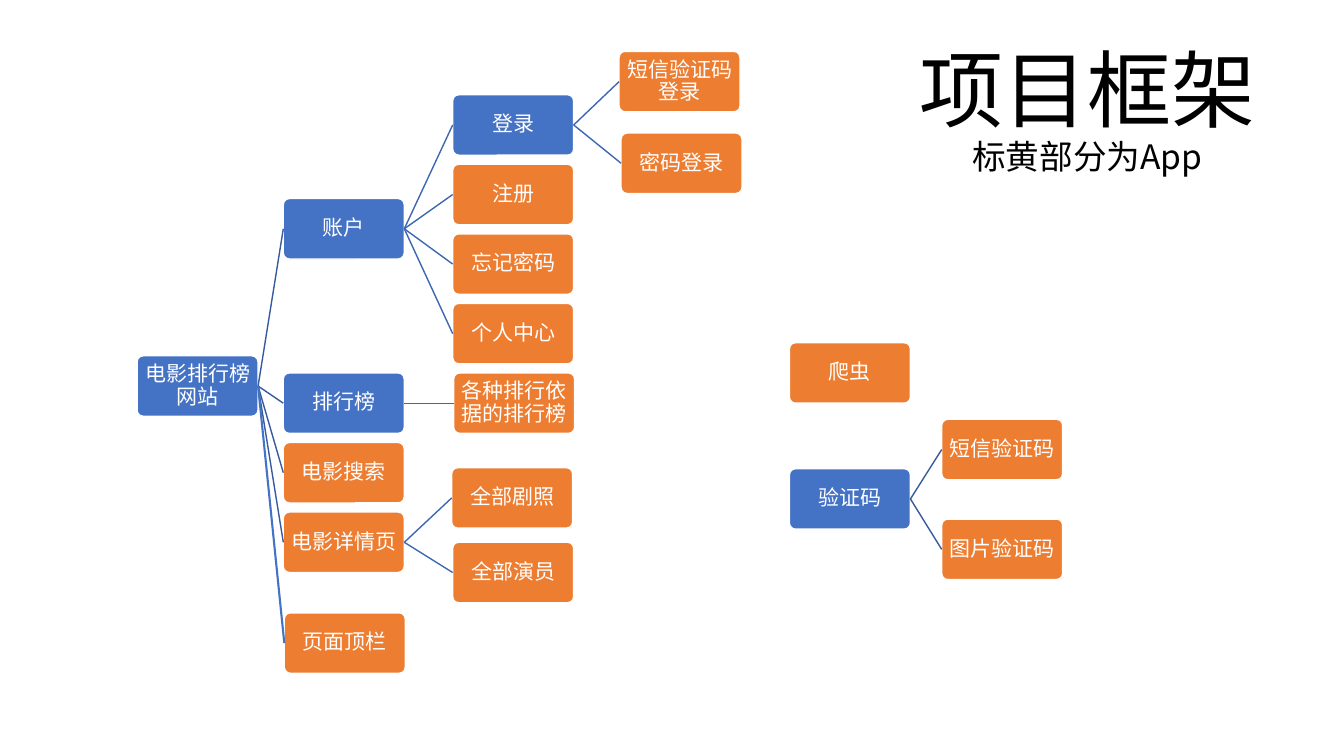
from dataclasses import dataclass

from lxml import etree
from pptx import Presentation
from pptx.dml.color import RGBColor
from pptx.enum.shapes import MSO_CONNECTOR, MSO_SHAPE
from pptx.enum.text import MSO_ANCHOR, MSO_AUTO_SIZE, PP_ALIGN
from pptx.oxml.ns import qn
from pptx.shapes.autoshape import Shape
from pptx.slide import Slide
from pptx.text.text import TextFrame
from pptx.util import Emu, Pt

ROUNDED = MSO_SHAPE.ROUNDED_RECTANGLE
STRAIGHT = MSO_CONNECTOR.STRAIGHT
CENTER = PP_ALIGN.CENTER
MIDDLE, BOTTOM = MSO_ANCHOR.MIDDLE, MSO_ANCHOR.BOTTOM
NO_AUTOFIT = MSO_AUTO_SIZE.NONE
LEFT_SIDE, RIGHT_SIDE = 1, 3

EMU_PER_PX = 9144  # 100 px to the inch
SLIDE_WIDTH, SLIDE_HEIGHT = 1333, 750
BOX_WIDTH, BOX_HEIGHT = 120, 60
BOX_MARGIN = 1
TITLE_ONLY_LAYOUT = 5

# Left edges of the site tree's columns, and the pitch of its stacked boxes
ROOT_X, SECTION_X, PAGE_X, LOGIN_X = 136, 281, 449, 614
ROW_PITCH = 69
ACCOUNT_TOP, RANKING_TOP = 94, 370
# Left edges of the separate services
SERVICE_X, CODE_X = 783, 934


@dataclass(frozen=True)
class Theme:
    font: str = "Noto Sans CJK SC"
    group: str = "4472C4"
    app: str = "ED7D31"
    outline: str = "FFFFFF"
    box_text: str = "FFFFFF"
    title_text: str = "000000"
    first_link: str = "365B9D"
    deeper_link: str = "3E67B2"
    added_link: str = "4472C4"
    box_size: float = 15
    title_size: float = 60
    subtitle_size: float = 24
    line_width: float = 1
    added_width: float = 1.5
    line_spacing: float = 0.9


THEME = Theme()


@dataclass(frozen=True)
class Topic:
    label: str
    left: int
    top: int
    is_app: bool = True
    children: tuple["Topic", ...] = ()
    added_later: bool = False


ACCOUNT_PAGES = (
    Topic("登录", PAGE_X, ACCOUNT_TOP, False, (
        Topic("短信验证码登录", LOGIN_X, 51),
        Topic("密码登录", LOGIN_X + 2, 132),
    )),
    *(Topic(label, PAGE_X, ACCOUNT_TOP + row * ROW_PITCH)
      for row, label in enumerate(("注册", "忘记密码", "个人中心"), start=1)),
)

TOPICS = (
    Topic("电影排行榜网站", ROOT_X, 353, False, (
        Topic("账户", SECTION_X, 197, False, ACCOUNT_PAGES),
        Topic("排行榜", SECTION_X, RANKING_TOP, False, (
            Topic("各种排行依据的排行榜", PAGE_X + 1, RANKING_TOP),
        )),
        Topic("电影搜索", SECTION_X, RANKING_TOP + ROW_PITCH),
        Topic("电影详情页", SECTION_X, RANKING_TOP + 2 * ROW_PITCH, True, (
            Topic("全部剧照", PAGE_X - 1, 464),
            Topic("全部演员", PAGE_X, 538),
        )),
        Topic("页面顶栏", SECTION_X + 1, 608, added_later=True),
    )),
    Topic("验证码", SERVICE_X, 465, False, (
        Topic("图片验证码", CODE_X, 515),
        Topic("短信验证码", CODE_X, 416),
    )),
    Topic("爬虫", SERVICE_X, 340),
)


def px(length: int) -> Emu:
    return Emu(length * EMU_PER_PX)


def rgb(color: str) -> RGBColor:
    return RGBColor.from_string(color)


def format_text(frame: TextFrame, sizes: tuple[float, ...], color: str) -> None:
    """Centre the one paragraph and give each of its runs the matching size."""
    frame.word_wrap = True
    frame.auto_size = NO_AUTOFIT
    paragraph = frame.paragraphs[0]
    paragraph.alignment = CENTER
    paragraph.line_spacing = THEME.line_spacing
    for run, size in zip(paragraph.runs, sizes):
        run.font.size = Pt(size)
        run.font.color.rgb = rgb(color)
        run.font.name = THEME.font
        east_asian = etree.SubElement(run.font._element, qn("a:ea"))
        east_asian.set("typeface", THEME.font)


def add_box(slide: Slide, topic: Topic) -> Shape:
    box = slide.shapes.add_shape(ROUNDED, px(topic.left), px(topic.top),
                                 px(BOX_WIDTH), px(BOX_HEIGHT))
    box.adjustments[0] = 0.1
    box.shadow.inherit = False
    box.fill.solid()
    box.fill.fore_color.rgb = rgb(THEME.app if topic.is_app else THEME.group)
    box.line.color.rgb = rgb(THEME.outline)
    box.line.width = Pt(THEME.line_width)
    frame = box.text_frame
    frame.text = topic.label
    frame.vertical_anchor = MIDDLE
    frame.margin_left = frame.margin_right = px(BOX_MARGIN)
    frame.margin_top = frame.margin_bottom = px(BOX_MARGIN)
    format_text(frame, (THEME.box_size,), THEME.box_text)
    return box


def add_link(slide: Slide, parent: Shape, child: Shape, color: str, width: float) -> None:
    link = slide.shapes.add_connector(STRAIGHT, 0, 0, 0, 0)
    link.begin_connect(parent, RIGHT_SIDE)
    link.end_connect(child, LEFT_SIDE)
    link.line.color.rgb = rgb(color)
    link.line.width = Pt(width)
    etree.SubElement(link._element.spPr, qn("a:effectLst"))


def add_tree(slide: Slide, topic: Topic, depth: int = 0) -> Shape:
    """Draw a topic with all its descendants and return the topic's own box."""
    box = add_box(slide, topic)
    for child in topic.children:
        child_box = add_tree(slide, child, depth + 1)
        if child.added_later:
            color, width = THEME.added_link, THEME.added_width
        else:
            color = THEME.deeper_link if depth else THEME.first_link
            width = THEME.line_width
        add_link(slide, box, child_box, color, width)
    return box


def set_title(slide: Slide) -> None:
    title = slide.shapes.title
    title.left, title.top = px(890), px(35)
    title.width, title.height = px(377), px(145)
    frame = title.text_frame
    frame.text = "项目框架 "
    frame.paragraphs[0].add_run().text = "标黄部分为App"
    frame.vertical_anchor = BOTTOM
    format_text(frame, (THEME.title_size, THEME.subtitle_size), THEME.title_text)


def main() -> None:
    presentation = Presentation()
    presentation.slide_width = px(SLIDE_WIDTH)
    presentation.slide_height = px(SLIDE_HEIGHT)
    slide = presentation.slides.add_slide(presentation.slide_layouts[TITLE_ONLY_LAYOUT])
    set_title(slide)
    for topic in TOPICS:
        add_tree(slide, topic)
    presentation.save("out.pptx")


if __name__ == "__main__":
    main()
